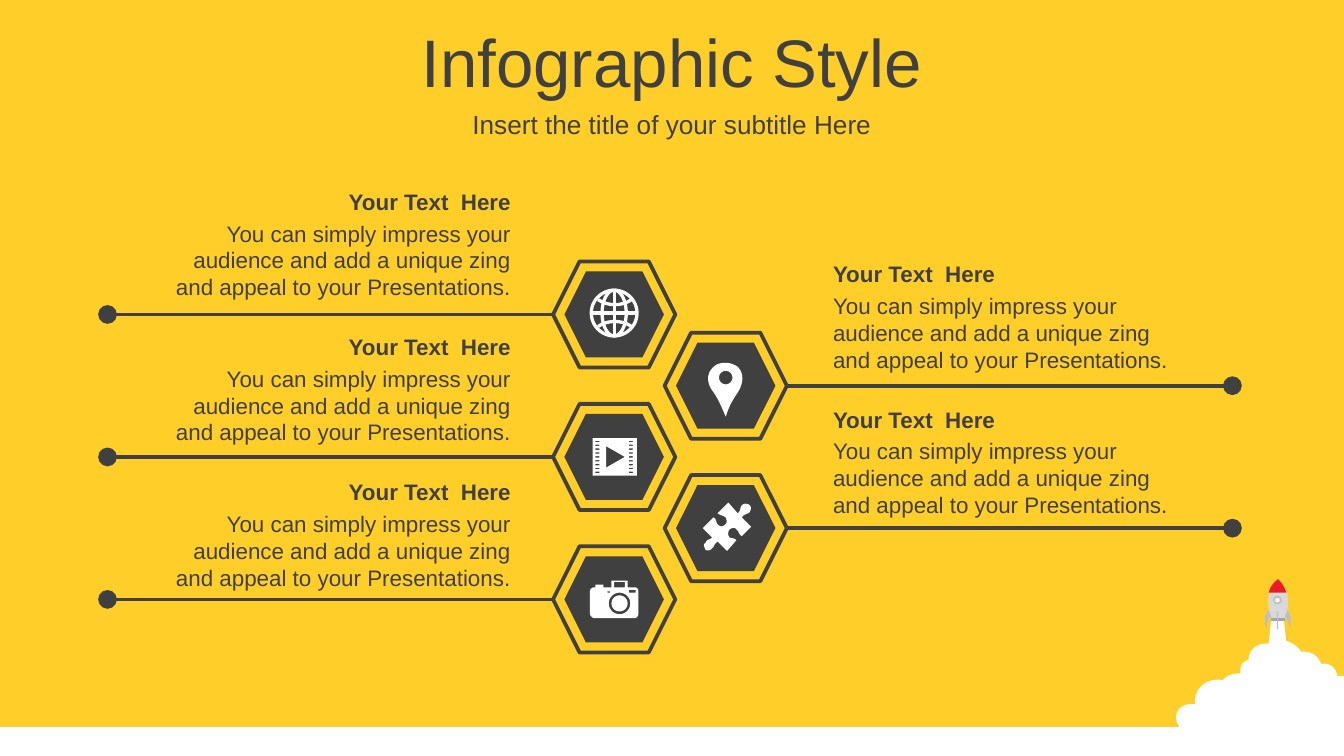
from math import cos, pi, sin
from lxml.etree import SubElement
from pptx import Presentation
from pptx.dml.color import RGBColor
from pptx.enum.shapes import MSO_CONNECTOR, MSO_SHAPE
from pptx.enum.text import MSO_ANCHOR, PP_ALIGN
from pptx.oxml.ns import qn
from pptx.util import Inches, Pt

YELLOW, DARK, WHITE, SILVER = "FFCE29", "404040", "FFFFFF", "BFBFBF"
WIDTH = 10
HEIGHT = WIDTH * 9 / 16

presentation = Presentation()
presentation.slide_width = Inches(WIDTH)
presentation.slide_height = Inches(HEIGHT)
slide = presentation.slides.add_slide(presentation.slide_layouts[6])
shapes = slide.shapes
slide.background.fill.solid()
slide.background.fill.fore_color.rgb = RGBColor.from_string(YELLOW)


def paint(shape, fill=None, line=None, weight=1):
    shape.shadow.inherit = False
    if fill:
        shape.fill.solid()
        shape.fill.fore_color.rgb = RGBColor.from_string(fill)
    else:
        shape.fill.background()
    if line:
        shape.line.color.rgb = RGBColor.from_string(line)
        shape.line.width = Pt(weight)
    else:
        shape.line.fill.background()


def draw(contours, fill=None, line=None, weight=1):
    builder = None
    for start, *segments in contours:
        points = [start]
        for segment in segments:
            if len(segment) == 2:
                points.append(segment)
                continue
            x0, y0 = points[-1]
            x1, y1, x2, y2, x3, y3 = segment
            for step in range(1, 9):
                t = step / 8
                a, b, c, d = (1 - t) ** 3, 3 * t * (1 - t) ** 2, 3 * t * t * (1 - t), t ** 3
                points.append((a * x0 + b * x1 + c * x2 + d * x3, a * y0 + b * y1 + c * y2 + d * y3))
        corners = [(Inches(x), Inches(y)) for x, y in points]
        if builder is None:
            builder = shapes.build_freeform(*corners[0])
        else:
            builder.move_to(*corners[0])
        builder.add_line_segments(corners[1:], close=fill is not None)
    paint(builder.convert_to_shape(), fill, line, weight)


ground = shapes.add_shape(MSO_SHAPE.RECTANGLE, 0, Inches(5.41), Inches(WIDTH), Inches(0.24))
paint(ground, WHITE)

cloud = [
    (9.46, 4.59), (9.55, 4.59), (9.57, 4.77), (9.59, 4.77, 9.65, 4.8, 9.68, 4.85),
    (9.75, 4.84, 9.81, 4.88, 9.83, 4.94), (9.9, 4.93, 9.94, 4.97, 9.95, 5.03), (10, 5.03),
    (10, 5.6), (9.94, 5.6, 9.9, 5.59, 9.86, 5.56), (9.81, 5.6, 9.75, 5.6, 9.69, 5.54),
    (9.65, 5.6, 9.57, 5.61, 9.51, 5.55), (9.42, 5.62, 9.23, 5.64, 9.13, 5.51),
    (9.07, 5.55, 8.95, 5.53, 8.93, 5.43), (8.86, 5.48, 8.75, 5.43, 8.75, 5.34),
    (8.75, 5.28, 8.8, 5.23, 8.89, 5.24), (8.88, 5.12, 8.98, 5.04, 9.1, 5.06),
    (9.13, 5.02, 9.18, 5.01, 9.23, 5.01), (9.22, 4.95, 9.25, 4.92, 9.29, 4.91),
    (9.29, 4.83, 9.36, 4.78, 9.44, 4.79),
]
fuselage = [(9.46, 4.62), (9.44, 4.53, 9.4, 4.4, 9.51, 4.31), (9.62, 4.41, 9.58, 4.54, 9.56, 4.62)]
nozzle = [(9.46, 4.6), (9.56, 4.6), (9.56, 4.62), (9.46, 4.62)]
nose = [(9.51, 4.31), (9.54, 4.34, 9.56, 4.37, 9.57, 4.41), (9.44, 4.41), (9.45, 4.37, 9.47, 4.34, 9.51, 4.31)]
left_fin = [(9.44, 4.54), (9.46, 4.59), (9.42, 4.61, 9.43, 4.66, 9.42, 4.68), (9.41, 4.65, 9.4, 4.57, 9.44, 4.54)]
right_fin = [(9.58, 4.54), (9.56, 4.59), (9.59, 4.61, 9.59, 4.66, 9.6, 4.68), (9.6, 4.65, 9.62, 4.57, 9.58, 4.54)]
for outline, color in (
    (cloud, WHITE), (fuselage, "D9D9D9"), (nozzle, "A6A6A6"),
    (nose, "ED1C24"), (left_fin, SILVER), (right_fin, SILVER),
):
    draw([outline], color)
window = shapes.add_shape(MSO_SHAPE.OVAL, Inches(9.48), Inches(4.44), Inches(0.05), Inches(0.05))
paint(window, WHITE, SILVER)
middle_fin = shapes.add_shape(MSO_SHAPE.RECTANGLE, Inches(9.5), Inches(4.55), Inches(0.01), Inches(0.13))
paint(middle_fin, SILVER)

texts = [
    ("Infographic Style", 0, 0.14, WIDTH, 0.63, 36, False, PP_ALIGN.CENTER, MSO_ANCHOR.MIDDLE),
    ("Insert the title of your subtitle Here", 0, 0.77, WIDTH, 0.31, 14, False, PP_ALIGN.CENTER, MSO_ANCHOR.MIDDLE),
]
body = "You can simply impress your audience and add a unique zing and appeal to your Presentations."
for row in range(5):
    column = row % 2
    center_x, center_y = 4.57 + 0.83 * column, 2.34 + 0.53 * row
    for width, height, fill, line in ((0.91, 0.79, YELLOW, DARK), (0.74, 0.64, DARK, None)):
        hexagon = shapes.add_shape(
            MSO_SHAPE.HEXAGON, Inches(center_x - width / 2), Inches(center_y - height / 2),
            Inches(width), Inches(height))
        paint(hexagon, fill, line, 2)

    start_x, end_x = ((center_x - 0.45, 0.8), (center_x + 0.46, 9.17))[column]
    connector = shapes.add_connector(
        MSO_CONNECTOR.STRAIGHT, Inches(start_x), Inches(center_y), Inches(end_x), Inches(center_y))
    connector.line.color.rgb = RGBColor.from_string(DARK)
    connector.line.width = Pt(2)
    properties = connector._element.spPr
    SubElement(properties.find(qn("a:ln")), qn("a:tailEnd"), type="oval", w="lg", len="lg")
    SubElement(properties, qn("a:effectLst"))

    left, top = (1.07, 6.1)[column], 1.35 + 0.54 * row
    align = (PP_ALIGN.RIGHT, PP_ALIGN.LEFT)[column]
    texts.append((body, left, top + 0.235, 2.83, 0.71, 12, False, align, MSO_ANCHOR.TOP))
    texts.append(("Your Text  Here", left, top, 2.83, 0.3, 12, True, align, MSO_ANCHOR.TOP))

for text, left, top, width, height, size, bold, align, anchor in texts:
    text_frame = shapes.add_textbox(Inches(left), Inches(top), Inches(width), Inches(height)).text_frame
    text_frame.word_wrap = True
    text_frame.vertical_anchor = anchor
    text_frame.text = text
    paragraph = text_frame.paragraphs[0]
    paragraph.alignment = align
    font = paragraph.runs[0].font
    font.name, font.size, font.bold = "Arial", Pt(size), bold
    font.color.rgb = RGBColor.from_string(DARK)

turn = [2 * pi * step / 48 for step in range(49)]
globe = [[(4.57 + radius * cos(angle), 2.33 + 0.17 * sin(angle)) for angle in turn] for radius in (0.17, 0.09)]
globe += [
    [(4.57, 2.16), (4.57, 2.5)],
    [(4.4, 2.33), (4.74, 2.33)],
    [(4.45, 2.23), (4.52, 2.28, 4.63, 2.28, 4.7, 2.23)],
    [(4.45, 2.43), (4.52, 2.38, 4.63, 2.38, 4.7, 2.43)],
]
draw(globe, line=WHITE, weight=1.75)

film = [[(4.41, 3.26), (4.74, 3.26), (4.74, 3.54), (4.41, 3.54)], [(4.51, 3.32), (4.51, 3.48), (4.65, 3.4)]]
for hole in range(9):
    top = 3.28 + 0.23 * hole / 8
    for left in (4.43, 4.68):
        film.append([(left, top), (left + 0.03, top), (left + 0.03, top + 0.01), (left, top + 0.01)])
draw(film, WHITE)

pin = [
    [(5.4, 2.7), (5.43, 2.7, 5.46, 2.71, 5.49, 2.73), (5.54, 2.78, 5.53, 2.86, 5.49, 2.92),
     (5.45, 2.98, 5.43, 3.01, 5.4, 3.1), (5.36, 3.01, 5.35, 2.98, 5.31, 2.92),
     (5.26, 2.86, 5.25, 2.78, 5.31, 2.73), (5.33, 2.71, 5.36, 2.7, 5.4, 2.7)],
    [(5.4 + 0.05 * cos(angle), 2.81 + 0.05 * sin(angle)) for angle in turn],
]
draw(pin, WHITE)

puzzle = [
    (5.58, 3.76), (5.59, 3.77, 5.59, 3.79, 5.58, 3.81), (5.56, 3.83, 5.54, 3.82, 5.52, 3.85),
    (5.59, 3.92), (5.52, 3.99), (5.49, 3.97, 5.5, 3.95, 5.48, 3.94), (5.47, 3.92, 5.44, 3.93, 5.43, 3.94),
    (5.42, 3.95, 5.41, 3.98, 5.43, 4), (5.45, 4.01, 5.46, 4, 5.48, 4.02), (5.41, 4.1), (5.34, 4.03),
    (5.31, 4.05, 5.32, 4.06, 5.3, 4.08), (5.28, 4.1, 5.26, 4.1, 5.25, 4.09),
    (5.24, 4.07, 5.23, 4.05, 5.25, 4.04), (5.26, 4.01, 5.28, 4.02, 5.3, 4), (5.23, 3.93), (5.31, 3.85),
    (5.34, 3.87, 5.32, 3.89, 5.35, 3.91), (5.36, 3.92, 5.38, 3.92, 5.4, 3.9),
    (5.41, 3.89, 5.41, 3.87, 5.4, 3.85), (5.37, 3.83, 5.37, 3.84, 5.34, 3.82), (5.42, 3.74), (5.49, 3.82),
    (5.52, 3.79, 5.5, 3.79, 5.52, 3.76), (5.54, 3.74, 5.57, 3.75, 5.58, 3.76),
]
draw([puzzle], WHITE)

camera = [[
    (4.55, 4.32), (4.67, 4.32), (4.67, 4.37), (4.72, 4.37), (4.74, 4.37, 4.75, 4.38, 4.75, 4.4),
    (4.75, 4.57), (4.75, 4.58, 4.74, 4.6, 4.72, 4.6), (4.42, 4.6), (4.41, 4.6, 4.39, 4.58, 4.39, 4.57),
    (4.39, 4.4), (4.39, 4.38, 4.41, 4.37, 4.42, 4.37), (4.43, 4.37), (4.43, 4.35), (4.49, 4.35),
    (4.49, 4.37), (4.55, 4.37),
]]
for left, top, right, bottom in ((4.52, 4.4, 4.54, 4.41), (4.68, 4.39, 4.73, 4.41), (4.57, 4.33, 4.65, 4.37)):
    camera.append([(left, top), (right, top), (right, bottom), (left, bottom)])
for radius in (0.08, 0.06):
    camera.append([(4.61 + radius * cos(angle), 4.49 + radius * sin(angle)) for angle in turn])
draw(camera, WHITE)

presentation.save("out.pptx")
